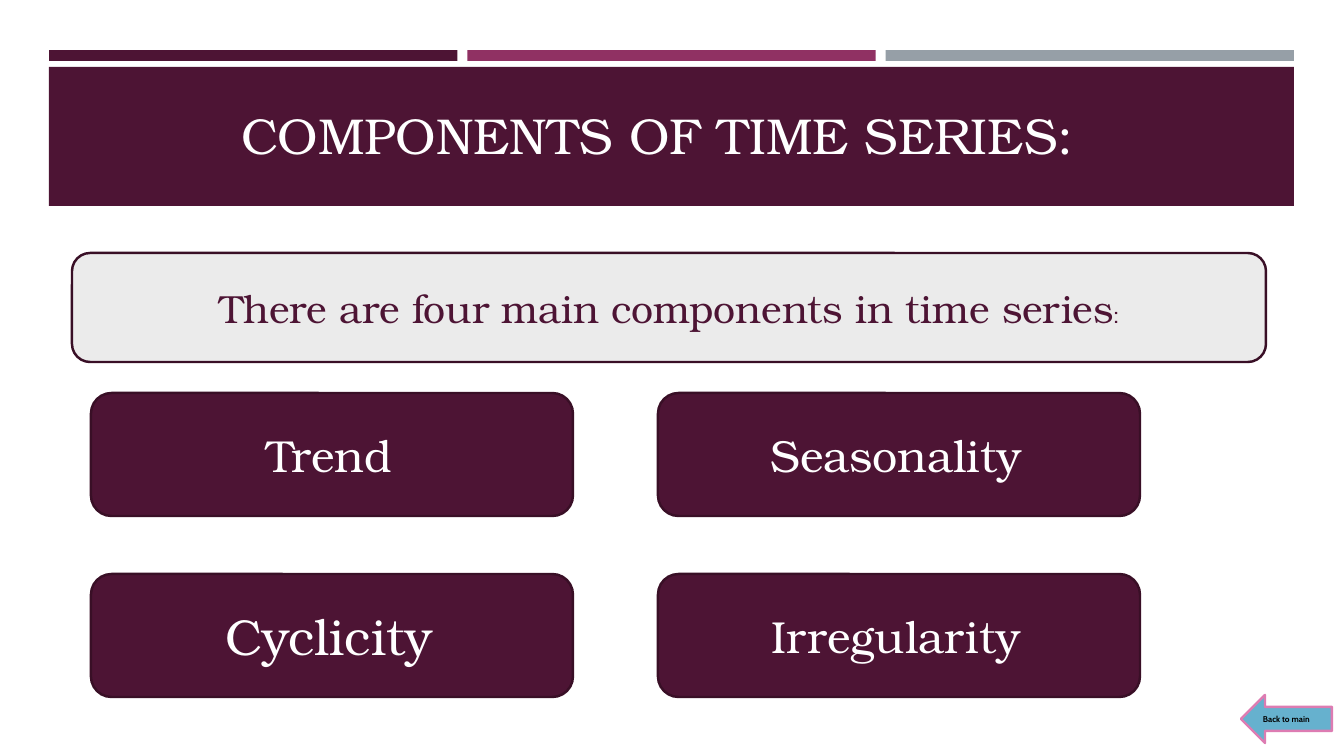
from pptx import Presentation
from pptx.dml.color import RGBColor
from pptx.enum.shapes import MSO_SHAPE as SHAPE
from pptx.enum.text import MSO_ANCHOR as ANCHOR, PP_ALIGN as ALIGN
from pptx.util import Pt

EMU_PER_PX = 914400 / 100.8
SERIF, SANS = "TeX Gyre Bonum", "Cabin"
PLUM, DARK_PLUM, WHITE = "4D1434", "390F26", "FFFFFF"


def px(length):
    return round(length * EMU_PER_PX)


def color(hex_code):
    return RGBColor.from_string(hex_code)


def add_block(slide, kind, box, fill, line=None):
    block = slide.shapes.add_shape(kind, *map(px, box))
    block.shadow.inherit = False
    block.fill.solid()
    block.fill.fore_color.rgb = color(fill)
    if line:
        block.line.color.rgb = color(line)
        block.line.width = Pt(1.75)
    else:
        block.line.fill.background()
    return block


def write(shape, runs, ink, align=ALIGN.CENTER, anchor=ANCHOR.MIDDLE):
    """Fill the shape with one paragraph of (text, font format) runs."""
    frame = shape.text_frame
    frame.word_wrap = True
    frame.vertical_anchor = anchor
    paragraph = frame.paragraphs[0]
    paragraph.alignment = align
    for text, formats in runs:
        run = paragraph.add_run()
        run.text = text
        run.font.color.rgb = color(ink)
        for name, value in formats.items():
            setattr(run.font, name, value)


def serif(size):
    return {"name": SERIF, "size": Pt(size)}


def sans(size, bold=False):
    return {"name": SANS, "size": Pt(size), "bold": bold}


def add_header(slide, left, top, width, height):
    gap, stripe_height, band_offset = 10, 11, 17
    stripe_width = (width - 2 * gap) / 3
    for i, fill in enumerate((PLUM, "903163", "969FA7")):
        stripe_left = left + i * (stripe_width + gap)
        add_block(slide, SHAPE.RECTANGLE, (stripe_left, top, stripe_width, stripe_height), fill)
    band_top = top + band_offset
    add_block(slide, SHAPE.RECTANGLE, (left, band_top, width, height - band_offset), PLUM)
    title_box = (left + 1, band_top - 6, width - 30, 109)
    title = slide.shapes.add_textbox(*map(px, title_box))
    write(title, [("COMPONENTS OF TIME SERIES:", serif(36))], WHITE, anchor=ANCHOR.BOTTOM)


def add_intro(slide, *box):
    intro = add_block(slide, SHAPE.ROUNDED_RECTANGLE, box, "EBEBEB", DARK_PLUM)
    sentence = "There are four main components in time series"
    write(intro, [(sentence, serif(28)), (":", sans(18))], PLUM)


def add_components(slide, left, top, width, height):
    card_width, card_height = 482, 123
    components = (("Trend", 32), ("Seasonality", 32), ("Cyclicity", 36), ("Irregularity", 32))
    for i, (component, size) in enumerate(components):
        row, column = divmod(i, 2)
        box = (left + column * (width - card_width), top + row * (height - card_height),
               card_width, card_height)
        card = add_block(slide, SHAPE.ROUNDED_RECTANGLE, box, PLUM, DARK_PLUM)
        write(card, [(component, serif(size)), (" ", sans(18))], WHITE)


def add_back_arrow(slide, *box):
    arrow = add_block(slide, SHAPE.LEFT_ARROW, box, "66B1CE", "DD7CB2")
    write(arrow, [("Back to main", sans(6, bold=True))], "000000", align=ALIGN.LEFT)


def main():
    deck = Presentation()
    deck.slide_width, deck.slide_height = px(1344), px(756)
    slide = deck.slides.add_slide(deck.slide_layouts[6])
    add_header(slide, 49, 50, 1245, 156)
    add_intro(slide, 72, 253, 1194, 109)
    add_components(slide, 91, 393, 1049, 304)
    add_back_arrow(slide, 1241, 695, 91, 48)
    deck.save("out.pptx")


if __name__ == "__main__":
    main()
